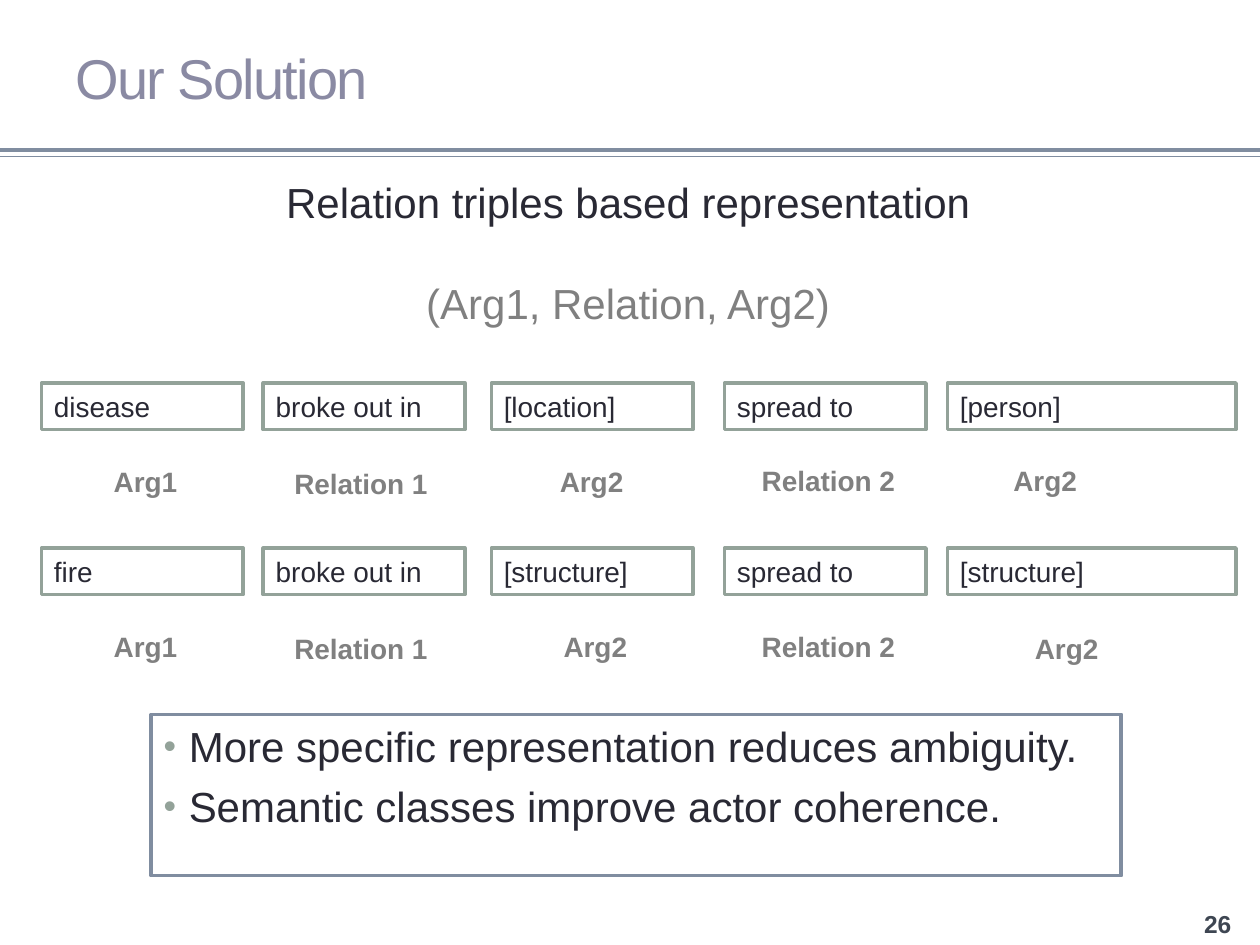
import pptx
import pptx.util
import pptx.dml.color
import pptx.enum.shapes
import pptx.enum.text
import pptx.oxml
import pptx.oxml.ns

Inches = pptx.util.Inches
Pt = pptx.util.Pt
ALIGN = pptx.enum.text.PP_ALIGN
ANCHOR = pptx.enum.text.MSO_ANCHOR

COLORS = {
    "ink": "292934",
    "title": "8A8AA3",
    "gray": "808080",
    "slate": "808DA0",
    "sage": "93A299",
    "number": "3E4652",
    "white": "FFFFFF",
}


def rgb(name):
    return pptx.dml.color.RGBColor.from_string(COLORS[name])


class SlideBuilder:
    font = "Arial"
    border = 2.08

    def __init__(self, page):
        self.page = page

    def rule(self, y, width):
        line = self.page.shapes.add_connector(
            pptx.enum.shapes.MSO_CONNECTOR.STRAIGHT,
            Inches(0), Inches(y), Inches(10), Inches(y))
        line.line.color.rgb = rgb("slate")
        line.line.width = Pt(width)
        line._element.spPr.append(pptx.oxml.parse_xml(
            f"<a:effectLst {pptx.oxml.ns.nsdecls('a')}/>"))

    def fill_text(self, box, lines, size, color, align=ALIGN.LEFT,
                  anchor=ANCHOR.TOP, bold=False):
        frame = box.text_frame
        frame.word_wrap = True
        frame.vertical_anchor = anchor
        frame.text = "\n".join(lines)
        for para in frame.paragraphs:
            para.alignment = align
            for span in para.runs:
                span.font.name = self.font
                span.font.size = Pt(size)
                span.font.bold = bold
                span.font.color.rgb = rgb(color)
        return box

    def text(self, left, top, width, height, lines, size, color, **style):
        box = self.page.shapes.add_textbox(
            Inches(left), Inches(top), Inches(width), Inches(height))
        return self.fill_text(box, lines, size, color, **style)

    def frame(self, left, top, width, height, lines, size, border):
        box = self.page.shapes.add_shape(
            pptx.enum.shapes.MSO_SHAPE.RECTANGLE,
            Inches(left), Inches(top), Inches(width), Inches(height))
        box.shadow.inherit = False
        box.fill.solid()
        box.fill.fore_color.rgb = rgb("white")
        box.line.color.rgb = rgb(border)
        box.line.width = Pt(self.border)
        return self.fill_text(box, lines, size, "ink")

    def bullets(self, box, indent, gap):
        for index, para in enumerate(box.text_frame.paragraphs):
            properties = para._p.get_or_add_pPr()
            properties.set("marL", str(Inches(indent)))
            properties.set("indent", str(-Inches(indent)))
            for markup in (
                f'<a:buClr {{}}><a:srgbClr val="{COLORS["sage"]}"/></a:buClr>',
                '<a:buSzPct {} val="85000"/>',
                f'<a:buFont {{}} typeface="{self.font}"/>',
                '<a:buChar {} char="•"/>',
            ):
                properties.append(pptx.oxml.parse_xml(
                    markup.format(pptx.oxml.ns.nsdecls("a"))))
            if index:
                para.space_before = Pt(gap)

    def triple_row(self, top, words, label_spots):
        lefts = (0.33, 2.09, 3.9, 5.75, 7.52)
        widths = (1.6, 1.6, 1.6, 1.6, 2.29)
        labels = ("Arg1", "Relation 1", "Arg2", "Relation 2", "Arg2")
        for left, width, word in zip(lefts, widths, words):
            self.frame(left, top, width, 0.37, [word], 16, "sage")
        for label, (left, label_top) in zip(labels, label_spots):
            self.text(left, label_top, 1.55, 0.37, [label], 16, "gray",
                      align=ALIGN.CENTER, bold=True)


def main():
    deck = pptx.Presentation()
    deck.slide_width = Inches(10)
    deck.slide_height = Inches(7.5)
    builder = SlideBuilder(deck.slides.add_slide(deck.slide_layouts[6]))

    builder.rule(1.19, 2.08)
    builder.rule(1.24, 0.75)
    builder.text(9.33, 7.15, 0.67, 0.36, ["26"], 14, "number",
                 align=ALIGN.CENTER, anchor=ANCHOR.MIDDLE, bold=True)

    title = builder.text(0.5, 0.07, 9, 1.08, ["Our Solution"], 32, "title",
                         anchor=ANCHOR.MIDDLE)
    title_span = title.text_frame.paragraphs[0].runs[0]
    title_span._r.get_or_add_rPr().set("spc", "-100")

    heading = builder.text(
        1.34, 1.35, 7.29, 1.31,
        ["Relation triples based representation", "(Arg1, Relation, Arg2)"],
        24, "ink", align=ALIGN.CENTER)
    pattern = heading.text_frame.paragraphs[1]
    pattern.space_before = Pt(29)
    pattern.runs[0].font.color.rgb = rgb("gray")

    summary = builder.frame(
        1.2, 5.67, 7.7, 1.28,
        ["More specific representation reduces ambiguity.",
         "Semantic classes improve actor coherence."], 24, "slate")
    builder.bullets(summary, 0.2, 5.5)

    builder.triple_row(
        3.04,
        ("disease", "broke out in", "[location]", "spread to", "[person]"),
        ((0.38, 3.64), (2.09, 3.65), (3.92, 3.64), (5.8, 3.63), (7.52, 3.63)))
    builder.triple_row(
        4.35,
        ("fire", "broke out in", "[structure]", "spread to", "[structure]"),
        ((0.38, 4.95), (2.09, 4.96), (3.95, 4.95), (5.8, 4.95), (7.69, 4.96)))

    deck.save("out.pptx")


if __name__ == "__main__":
    main()
